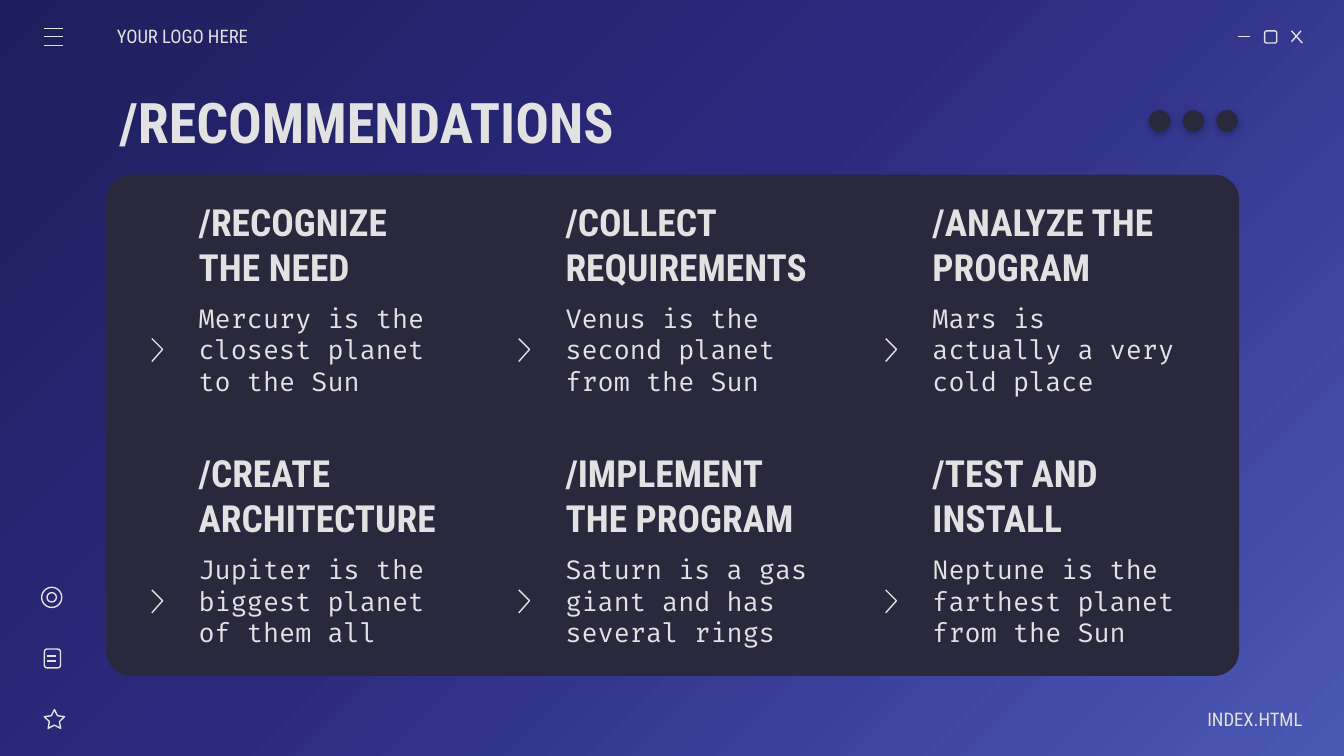
from lxml import etree
from pptx import Presentation
from pptx.dml.color import RGBColor
from pptx.enum import shapes, text
from pptx.oxml import parse_xml
from pptx.oxml.ns import nsdecls, qn
from pptx.util import Inches, Pt

LIGHT, DARK = "E2E2E2", "29283D"
HEADING, MONO = "Roboto Condensed", "Fira Code"
OVAL, ROUNDED = shapes.MSO_SHAPE.OVAL, shapes.MSO_SHAPE.ROUNDED_RECTANGLE
STAR = shapes.MSO_SHAPE.STAR_5_POINT

# Each row of recommendations: heading and description
ROWS = [
    [("/RECOGNIZE THE NEED", "Mercury is the closest planet to the Sun"),
     ("/COLLECT REQUIREMENTS", "Venus is the second planet from the Sun"),
     ("/ANALYZE THE PROGRAM", "Mars is actually a very cold place")],
    [("/CREATE ARCHITECTURE", "Jupiter is the biggest planet of them all"),
     ("/IMPLEMENT THE PROGRAM", "Saturn is a gas giant and has several rings"),
     ("/TEST AND INSTALL", "Neptune is the farthest planet from the Sun")],
]
LEFT, COLUMN_STEP = 1.38, 2.73
TOP, ROW_STEP = 1.48, 1.87


def color(value):
    return RGBColor.from_string(value)


def paint_background(slide):
    """Fill the slide with a gradient radiating from the top left corner."""
    stops = [(0, "1E1E5C"), (46, "2C2A7F"), (100, "4A58B4")]
    stop_xml = "".join(f'<a:gs pos="{pos * 1000}"><a:srgbClr val="{value}"/></a:gs>'
                       for pos, value in stops)
    background = parse_xml(
        f'<p:bg {nsdecls("p", "a")}><p:bgPr><a:gradFill rotWithShape="1">'
        f'<a:gsLst>{stop_xml}</a:gsLst><a:path path="circle">'
        '<a:fillToRect r="100000" b="100000"/></a:path><a:tileRect/>'
        '</a:gradFill><a:effectLst/></p:bgPr></p:bg>')
    slide.element.cSld.insert(0, background)


def outline(shape):
    shape.line.color.rgb = color(LIGHT)
    shape.line.width = Pt(0.75)


def add_line(slide, x1, y1, x2, y2):
    line = slide.shapes.add_connector(
        shapes.MSO_CONNECTOR.STRAIGHT, *map(Inches, (x1, y1, x2, y2)))
    outline(line)
    etree.SubElement(line._element.spPr, qn("a:effectLst"))


def add_shape(slide, kind, box, fill=None, corner=None):
    """Add a dark filled shape, or a thin light outline when fill is None."""
    shape = slide.shapes.add_shape(kind, *map(Inches, box))
    shape.shadow.inherit = False
    if corner is not None:
        shape.adjustments[0] = corner
    if fill:
        shape.fill.solid()
        shape.fill.fore_color.rgb = color(fill)
        shape.line.fill.background()
    else:
        shape.fill.background()
        outline(shape)
    return shape


def add_text(slide, words, box, size, font=HEADING, bold=False,
             align=text.PP_ALIGN.LEFT, **margins):
    frame = slide.shapes.add_textbox(*map(Inches, box)).text_frame
    layout = {"word_wrap": True, "vertical_anchor": text.MSO_ANCHOR.MIDDLE,
              "margin_left": Inches(0.1), "margin_right": Inches(0.1),
              "margin_top": Inches(0.1), "margin_bottom": Inches(0.1), **margins}
    for name, value in layout.items():
        setattr(frame, name, value)
    paragraph = frame.paragraphs[0]
    paragraph.alignment = align
    run = paragraph.add_run()
    run.text = words
    for name, value in {"name": font, "size": Pt(size), "bold": bold}.items():
        setattr(run.font, name, value)
    run.font.color.rgb = color(LIGHT)


def add_chevron(slide, x, y):
    points = [(Inches(x + dx), Inches(y + dy))
              for dx, dy in [(0, 0), (0.08, 0.08), (0, 0.17)]]
    builder = slide.shapes.build_freeform(*points[0])
    builder.add_line_segments(points[1:], close=False)
    chevron = builder.convert_to_shape()
    chevron.shadow.inherit = False
    chevron.fill.background()
    outline(chevron)


def add_dot(slide, x):
    dot = add_shape(slide, OVAL, (x, 0.82, 0.16, 0.16), DARK)
    effects = dot._element.spPr.find(qn("a:effectLst"))
    effects.append(parse_xml(
        f'<a:outerShdw {nsdecls("a")} blurRad="{Pt(4.5)}" dist="{Pt(1.5)}" '
        'dir="5400000" algn="bl" rotWithShape="0"><a:srgbClr val="000000">'
        '<a:alpha val="30000"/></a:srgbClr></a:outerShdw>'))


def add_window_controls(slide):
    add_line(slide, 9.21, 0.27, 9.3, 0.27)
    add_shape(slide, ROUNDED, (9.41, 0.23, 0.09, 0.09))
    add_line(slide, 9.61, 0.23, 9.69, 0.32)
    add_line(slide, 9.68, 0.23, 9.61, 0.31)


def add_sidebar(slide):
    # Menu
    for y in (0.21, 0.27, 0.34):
        add_line(slide, 0.33, y, 0.47, y)
    # Star
    add_shape(slide, STAR, (0.33, 5.28, 0.15, 0.14), corner=0.25)
    # Document
    add_shape(slide, ROUNDED, (0.33, 4.83, 0.12, 0.14))
    for y in (4.88, 4.92):
        add_line(slide, 0.35, y, 0.42, y)
    # Target
    add_shape(slide, OVAL, (0.31, 4.37, 0.15, 0.15))
    add_shape(slide, OVAL, (0.35, 4.41, 0.07, 0.07))


def add_recommendation(slide, heading, description, x, y):
    add_text(slide, heading, (x, y, 2, 0.67), 20, bold=True)
    add_text(slide, description, (x, y + 0.73, 2, 0.78), 14, MONO)
    add_chevron(slide, x - 0.25, y + 1.04)


def main():
    deck = Presentation()
    deck.slide_width, deck.slide_height = Inches(10), Inches(10 * 9 / 16)
    slide = deck.slides.add_slide(deck.slide_layouts[6])
    paint_background(slide)

    # Browser window frame
    add_shape(slide, ROUNDED, (0.79, 1.3, 8.43, 3.73), DARK, corner=0.05)
    add_window_controls(slide)
    add_sidebar(slide)
    add_text(slide, "YOUR LOGO HERE", (0.87, 0.12, 1.17, 0.3), 10, margin_left=0)
    add_text(slide, "INDEX.HTML", (8.52, 5.2, 1.17, 0.3), 10,
             align=text.PP_ALIGN.RIGHT, margin_right=0)

    # Title and dots
    add_text(slide, "/RECOMMENDATIONS", (0.79, 0.59, 8.43, 0.63), 30, bold=True)
    for i in range(3):
        add_dot(slide, 8.55 + 0.25 * i)

    # Grid of recommendations
    for row, items in enumerate(ROWS):
        for column, (heading, description) in enumerate(items):
            add_recommendation(slide, heading, description,
                               LEFT + COLUMN_STEP * column, TOP + ROW_STEP * row)

    deck.save("out.pptx")


if __name__ == "__main__":
    main()
